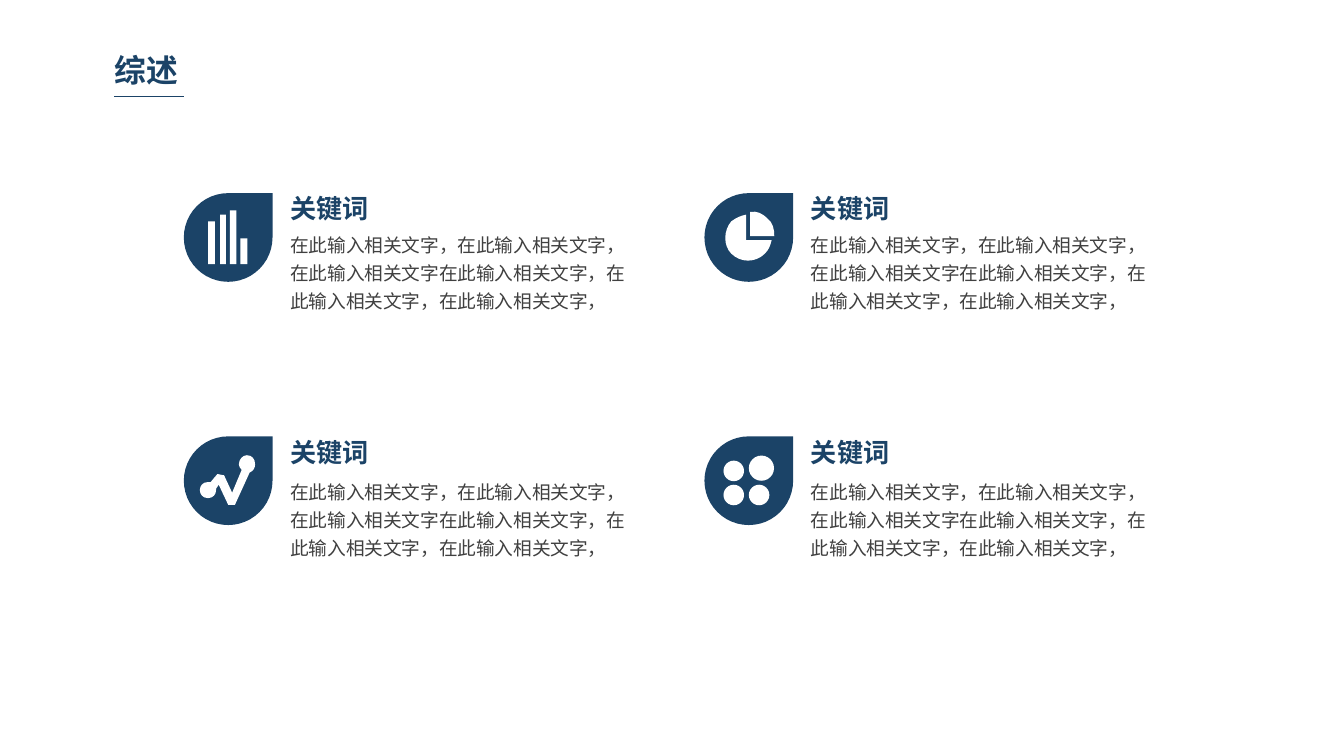
from dataclasses import dataclass

from lxml import etree
from pptx import Presentation
from pptx.dml.color import RGBColor
from pptx.enum.shapes import MSO_CONNECTOR, MSO_SHAPE
from pptx.oxml.ns import qn
from pptx.util import Pt

TEARDROP = MSO_SHAPE.TEAR
RECTANGLE = MSO_SHAPE.RECTANGLE
OVAL = MSO_SHAPE.OVAL
STRAIGHT = MSO_CONNECTOR.STRAIGHT


@dataclass(frozen=True)
class Theme:
    font: str = "Noto Sans CJK SC"
    navy: RGBColor = RGBColor(0x1B, 0x43, 0x67)
    grey: RGBColor = RGBColor(0x40, 0x40, 0x40)
    white: RGBColor = RGBColor(0xFF, 0xFF, 0xFF)
    heading_size: float = 17
    keyword_size: float = 14
    body_size: float = 10


THEME = Theme()
BADGE_SIZE = 47.5
COLUMN_LEFTS = (98.5, 377.4)
# Tops of the badge, the keyword and the body text in each row
ROW_TOPS = ((103.5, 93.6, 119.5), (233.8, 224.6, 251.8))
KEYWORD = "关键词"
BODY = ("在此输入相关文字，在此输入相关文字，在此输入相关文字"
        "在此输入相关文字，在此输入相关文字，在此输入相关文字，")

# Outlines relative to the badge: a start point, then segments of
# one point (straight) or three points (Bézier curve).
PIE_BODY = (
    (22.3, 11.5),
    [(19.4, 12.2), (17.3, 13), (14.4, 15.1)],
    [(10.1, 20.2), (10.1, 28.1), (14.4, 32.4)],
    [(19.4, 37.4), (27.4, 37.4), (32.4, 32.4)],
    [(34.6, 30.2), (35.3, 28.1), (36, 25.2)],
    [(22.3, 25.2)],
)
PIE_SLICE = (
    (33.8, 13.7),
    [(31, 10.8), (28.1, 9.4), (24.5, 10.1)],
    [(24.5, 23)],
    [(37.4, 23)],
    [(37.4, 19.4), (36.7, 15.8), (33.8, 13.7)],
)
TREND = (
    (38.2, 15.1),
    [(38.2, 12.2), (36.7, 10.1), (33.8, 10.1)],
    [(31.7, 10.1), (29.5, 12.2), (29.5, 15.1)],
    [(29.5, 15.8), (30.2, 17.3), (31, 18)],
    [(25.9, 30.2)], [(21.6, 20.9)], [(18, 20.2)], [(14.4, 24.5)],
    [(14.4, 24.5), (13.7, 24.5), (13, 24.5)],
    [(10.1, 24.5), (8.6, 26.6), (8.6, 28.8)],
    [(8.6, 31), (10.1, 33.1), (13, 33.1)],
    [(15.8, 33.1), (17.3, 31), (17.3, 28.8)],
    [(17.3, 28.8), (17.3, 28.1), (17.3, 28.1)],
    [(18.7, 25.9)], [(23.8, 36.7)], [(27.4, 36.7)], [(35.3, 19.4)],
    [(37.4, 18.7), (38.2, 16.6), (38.2, 15.1)],
)


def add_text(slide, text, box, size, color, bold=False, line_spacing=None, space_before=0):
    frame = slide.shapes.add_textbox(*map(Pt, box)).text_frame
    frame.word_wrap = True
    frame.margin_left = frame.margin_right = Pt(5.1)
    frame.margin_top = frame.margin_bottom = Pt(2.6)
    paragraph = frame.paragraphs[0]
    paragraph.text = text
    paragraph.space_before = Pt(space_before)
    paragraph.line_spacing = line_spacing
    font = paragraph.font
    font.name, font.size, font.bold = THEME.font, Pt(size), bold
    font.color.rgb = color
    latin = next(paragraph._p.iter(qn("a:latin")))
    latin.addnext(etree.Element(qn("a:ea"), typeface=THEME.font))


def paint(shape, color):
    shape.shadow.inherit = False
    shape.fill.solid()
    shape.fill.fore_color.rgb = color
    shape.line.fill.background()


def add_preset(group, preset, box, color=THEME.white):
    paint(group.shapes.add_shape(preset, *map(Pt, box)), color)


def add_outline(group, left, top, outline):
    """Draw a closed white outline whose three-point segments are curves."""
    start, *segments = outline

    def place(point):
        return Pt(left + point[0]), Pt(top + point[1])

    builder = group.shapes.build_freeform(*place(start))
    builder.add_line_segments([place(p) for segment in segments for p in segment], close=True)
    shape = builder.convert_to_shape()
    paint(shape, THEME.white)
    lines = iter(list(shape._element.iter(qn("a:lnTo"))))
    for segment in segments:
        steps = [next(lines) for _ in segment]
        if len(steps) == 3:
            curve = etree.Element(qn("a:cubicBezTo"))
            steps[0].addprevious(curve)
            for step in steps:
                curve.append(step[0])
                step.getparent().remove(step)


def bar_icon(group, left, top):
    baseline = top + 38.1
    for x, width, height in ((13, 3.6, 23), (19.4, 3.2, 26.6),
                             (24.6, 3.5, 28.8), (30.3, 3.7, 13.9)):
        add_preset(group, RECTANGLE, (left + x, baseline - height, width, height))


def pie_icon(group, left, top):
    for outline in (PIE_BODY, PIE_SLICE):
        add_outline(group, left, top, outline)


def trend_icon(group, left, top):
    add_outline(group, left, top, TREND)


def dots_icon(group, left, top):
    for x, y, size in ((10.2, 13, 11), (23.8, 10.3, 13.5),
                       (10.2, 25.9, 11), (23.8, 25.9, 11)):
        add_preset(group, OVAL, (left + x, top + y, size, size))


def add_heading(slide, left, top):
    add_text(slide, "综述", (left, top, 177.8, 26), THEME.heading_size, THEME.navy, bold=True)
    rule_left, rule_top = left + 5, top + 27.2
    rule = slide.shapes.add_connector(
        STRAIGHT, Pt(rule_left), Pt(rule_top), Pt(rule_left + 37.4), Pt(rule_top))
    rule.line.color.rgb = THEME.navy
    rule.line.width = Pt(0.75)
    etree.SubElement(rule._element.spPr, qn("a:effectLst"))


def add_topic(slide, left, row_tops, draw_icon):
    badge_top, keyword_top, body_top = row_tops
    text_left = left + 51.9
    add_text(slide, KEYWORD, (text_left, keyword_top, 157, 22.3), THEME.keyword_size,
             THEME.navy, bold=True, line_spacing=1.4, space_before=2.8)
    add_text(slide, BODY, (text_left, body_top, 192.2, 71.3), THEME.body_size,
             THEME.grey, line_spacing=Pt(15), space_before=2)
    badge = slide.shapes.add_group_shape()
    add_preset(badge, TEARDROP, (left, badge_top, BADGE_SIZE, BADGE_SIZE), THEME.navy)
    draw_icon(badge, left, badge_top)


def main():
    deck = Presentation()
    deck.slide_width, deck.slide_height = Pt(720), Pt(405)
    slide = deck.slides.add_slide(deck.slide_layouts[6])
    add_heading(slide, 56.2, 24.5)
    icon_grid = ((bar_icon, pie_icon), (trend_icon, dots_icon))
    for row_tops, icons in zip(ROW_TOPS, icon_grid):
        for left, draw_icon in zip(COLUMN_LEFTS, icons):
            add_topic(slide, left, row_tops, draw_icon)
    deck.save("out.pptx")


if __name__ == "__main__":
    main()
